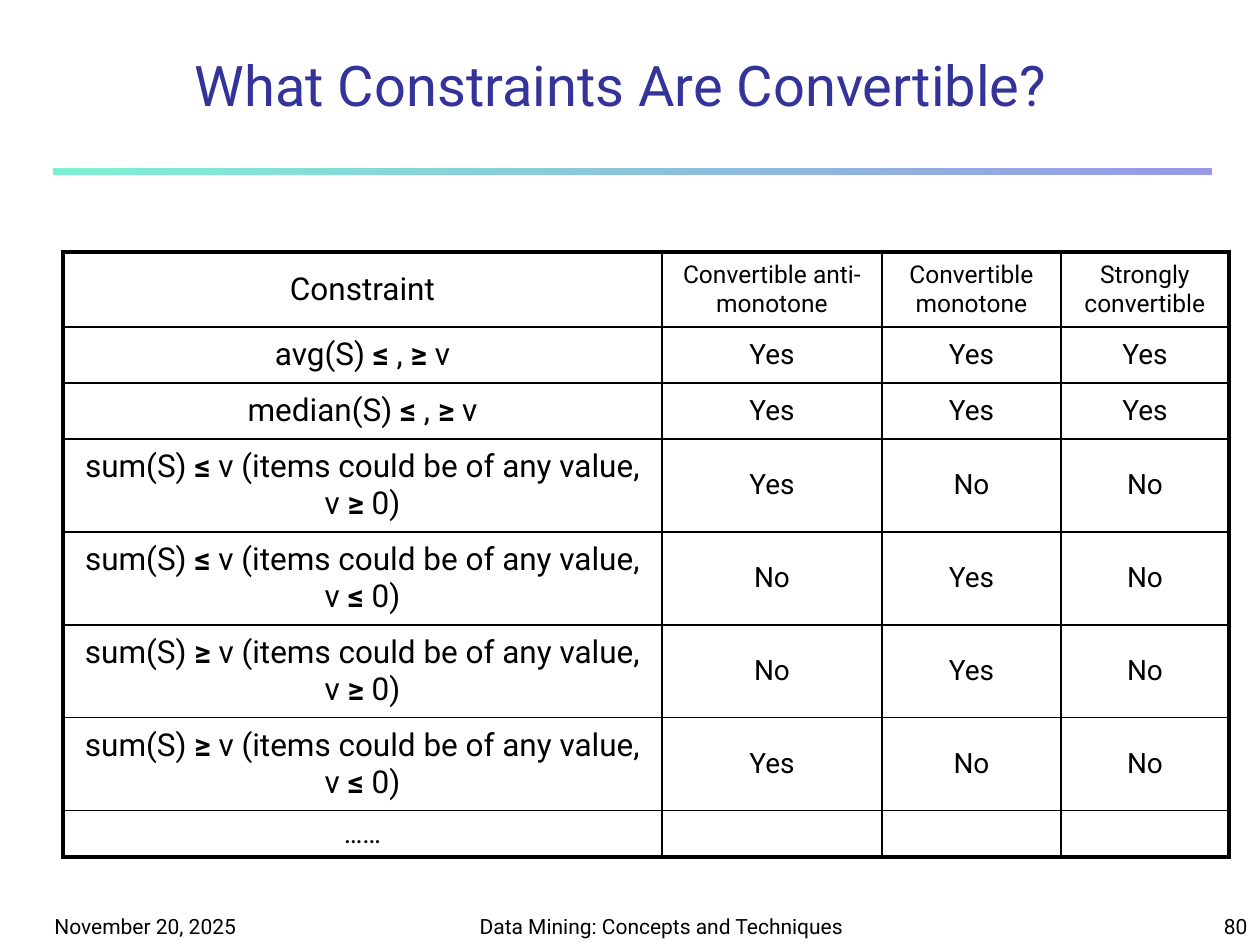
from dataclasses import dataclass
from itertools import groupby

from lxml.etree import SubElement
from pptx import Presentation
from pptx.dml.color import RGBColor
from pptx.enum.shapes import MSO_SHAPE
from pptx.enum.text import MSO_ANCHOR, MSO_AUTO_SIZE, PP_ALIGN
from pptx.oxml import parse_xml
from pptx.oxml.ns import nsdecls, qn
from pptx.util import Emu, Pt


@dataclass(frozen=True)
class Theme:
    font: str = "Roboto"
    ink: str = "000000"
    title: str = "333399"
    rule_colors: tuple = ("00E4A8", "3333CC")
    rule_opacity: int = 50
    title_size: int = 32
    constraint_size: int = 18
    heading_size: int = 14
    answer_size: int = 16
    footer_size: int = 12
    outer_border: float = 2.25
    inner_border: float = 1


THEME = Theme()
PAGE_WIDTH, PAGE_HEIGHT = 1260, 945
COLUMN_WIDTHS = [599, 220, 179, 168]
ROW_HEIGHTS = [75, 56, 56, 93, 93, 93, 93, 45]
ROWS = [
    ("Constraint", "Convertible anti-monotone", "Convertible monotone", "Strongly convertible"),
    ("avg(S) ≤ , ≥ v", "Yes", "Yes", "Yes"),
    ("median(S) ≤ , ≥ v", "Yes", "Yes", "Yes"),
    ("sum(S) ≤ v (items could be of any value, v ≥ 0)", "Yes", "No", "No"),
    ("sum(S) ≤ v (items could be of any value, v ≤ 0)", "No", "Yes", "No"),
    ("sum(S) ≥ v (items could be of any value, v ≥ 0)", "No", "Yes", "No"),
    ("sum(S) ≥ v (items could be of any value, v ≤ 0)", "Yes", "No", "No"),
    ("……", "", "", ""),
]


def px(length):
    return Emu(round(length * 914400 / 126))


def place(box):
    return [px(length) for length in box]


def write(frame, text, size, color=THEME.ink, align=PP_ALIGN.CENTER):
    """Fill the first paragraph, with comparison signs in bold."""
    para = frame.paragraphs[0]
    para.alignment = align
    for is_sign, letters in groupby(text, lambda letter: letter in "≤≥"):
        span = para.add_run()
        span.text = "".join(letters)
        span.font.color.rgb = RGBColor.from_string(color)
        style = {"name": THEME.font, "size": Pt(size), "bold": is_sign}
        for name, value in style.items():
            setattr(span.font, name, value)
    if not text:
        SubElement(para._p, qn("a:endParaRPr"), sz=str(size * 100))


def add_title(page, box, text):
    title = page.shapes.title
    title.left, title.top, title.width, title.height = place(box)
    frame = title.text_frame
    frame.auto_size = MSO_AUTO_SIZE.NONE
    frame.vertical_anchor = MSO_ANCHOR.BOTTOM
    write(frame, text, THEME.title_size, THEME.title)


def add_rule(page, box):
    rule = page.shapes.add_shape(MSO_SHAPE.RECTANGLE, *place(box))
    rule.shadow.inherit = False
    rule.line.fill.background()
    rule.fill.gradient()
    rule.fill.gradient_angle = 0
    for stop, color in zip(rule.fill.gradient_stops, THEME.rule_colors):
        stop.color.rgb = RGBColor.from_string(color)
    for node in rule._element.spPr.iter(qn("a:srgbClr")):
        SubElement(node, qn("a:alpha"), val=str(THEME.rule_opacity * 1000))


def set_borders(cell, outer_sides):
    properties = cell._tc.get_or_add_tcPr()
    for index, side in enumerate("LRTB"):
        width = THEME.outer_border if side in outer_sides else THEME.inner_border
        properties.insert(index, parse_xml(
            f'<a:ln{side} {nsdecls("a")} w="{Pt(width)}"><a:solidFill>'
            f'<a:srgbClr val="{THEME.ink}"/></a:solidFill></a:ln{side}>'))


def text_size(row, column):
    if row == len(ROWS) - 1:
        return THEME.answer_size
    if column == 0:
        return THEME.constraint_size
    return THEME.heading_size if row == 0 else THEME.answer_size


def add_constraint_table(page, left, top):
    box = (left, top, sum(COLUMN_WIDTHS), sum(ROW_HEIGHTS))
    table = page.shapes.add_table(len(ROWS), len(COLUMN_WIDTHS), *place(box)).table
    table.first_row = table.horz_banding = False
    for column, width in zip(table.columns, COLUMN_WIDTHS):
        column.width = px(width)
    last_row, last_column = len(ROWS) - 1, len(COLUMN_WIDTHS) - 1
    for r, texts in enumerate(ROWS):
        table.rows[r].height = px(ROW_HEIGHTS[r])
        for c, text in enumerate(texts):
            cell = table.cell(r, c)
            cell.fill.background()
            cell.vertical_anchor = MSO_ANCHOR.MIDDLE
            edges = {"L": c == 0, "R": c == last_column, "T": r == 0, "B": r == last_row}
            set_borders(cell, [side for side, is_outer in edges.items() if is_outer])
            write(cell.text_frame, text, text_size(r, c))


def add_footer(page, top, height):
    parts = [
        (42, 262, "November 20, 2025", PP_ALIGN.LEFT),
        (462, 399, "Data Mining: Concepts and Techniques", PP_ALIGN.CENTER),
        (998, 262, "80", PP_ALIGN.RIGHT),
    ]
    for left, width, text, align in parts:
        frame = page.shapes.add_textbox(*place((left, top, width, height))).text_frame
        frame.word_wrap = True
        frame.vertical_anchor = MSO_ANCHOR.BOTTOM
        write(frame, text, THEME.footer_size, align=align)


def main():
    deck = Presentation()
    deck.slide_width, deck.slide_height = px(PAGE_WIDTH), px(PAGE_HEIGHT)
    page = deck.slides.add_slide(deck.slide_layouts[5])
    add_rule(page, (53, 168, 1159, 7))
    add_footer(page, 892, 53)
    add_title(page, (116, 42, 1010, 82), "What Constraints Are Convertible?")
    add_constraint_table(page, 63, 252)
    deck.save("out.pptx")


if __name__ == "__main__":
    main()
